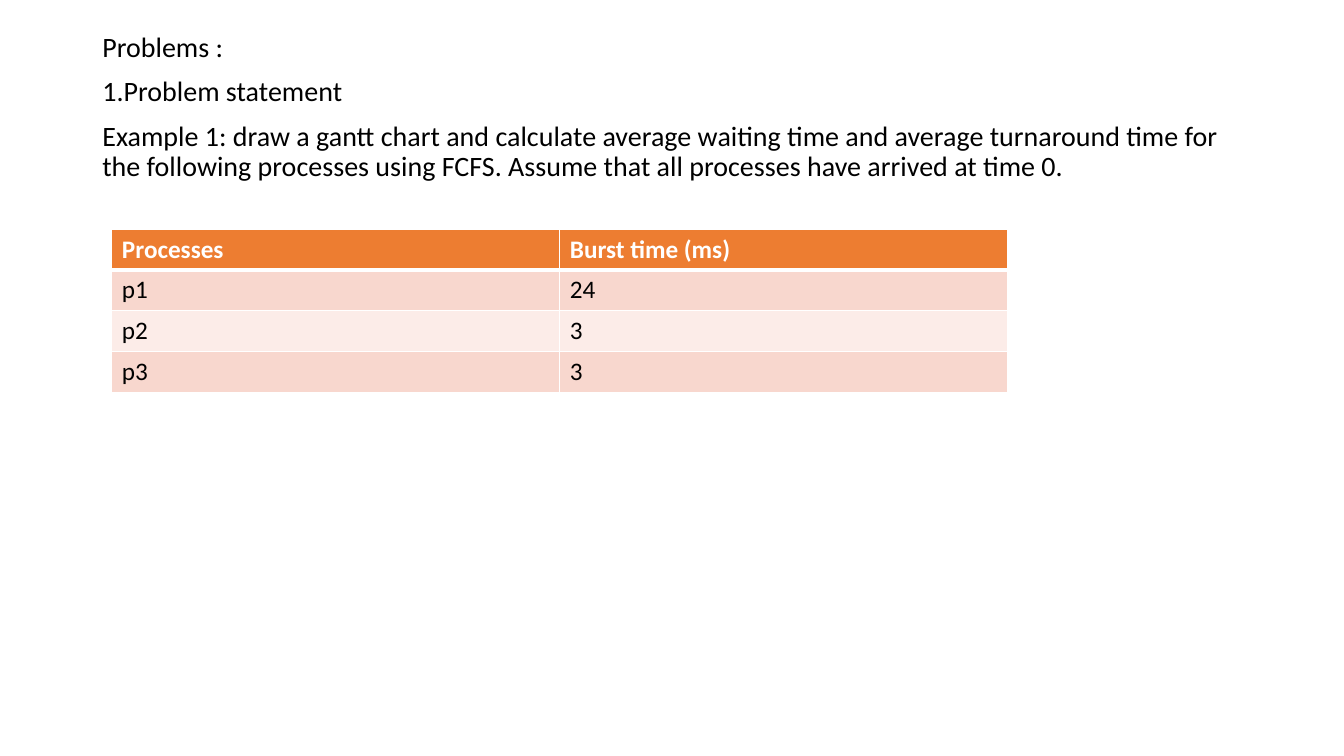
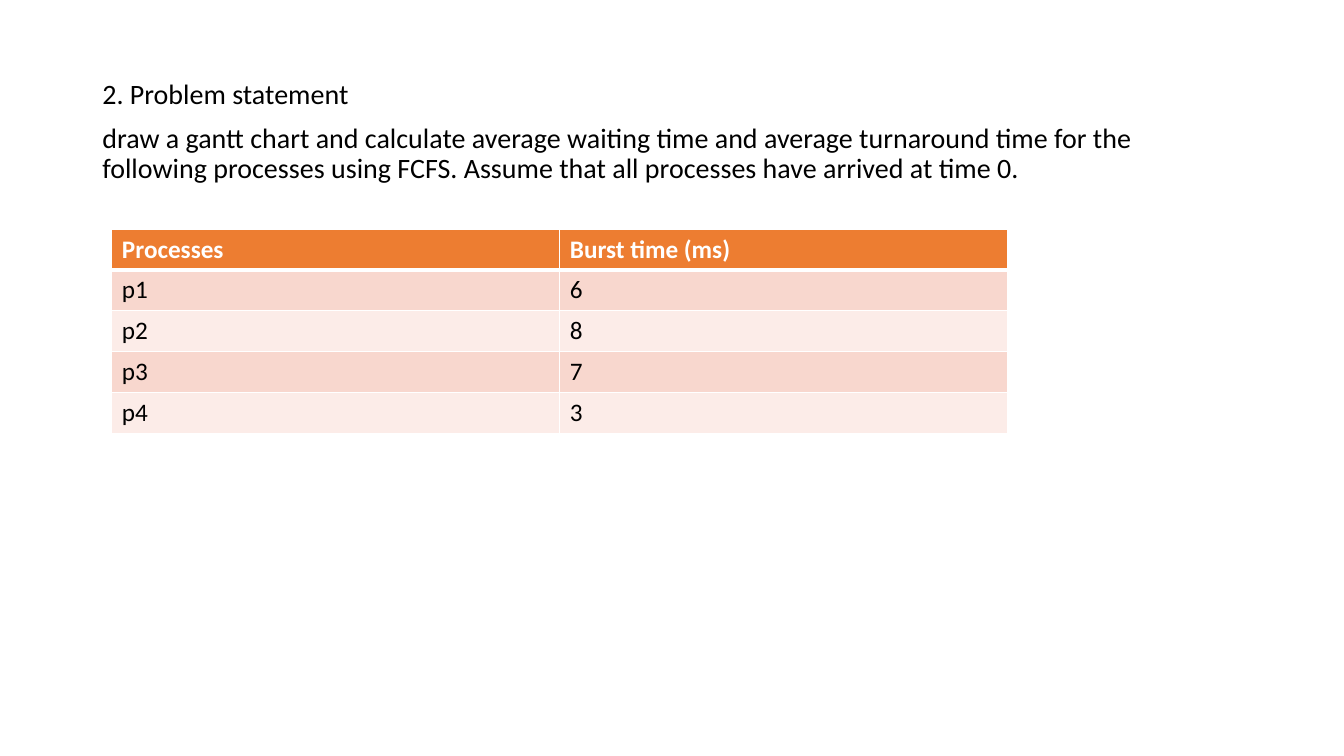
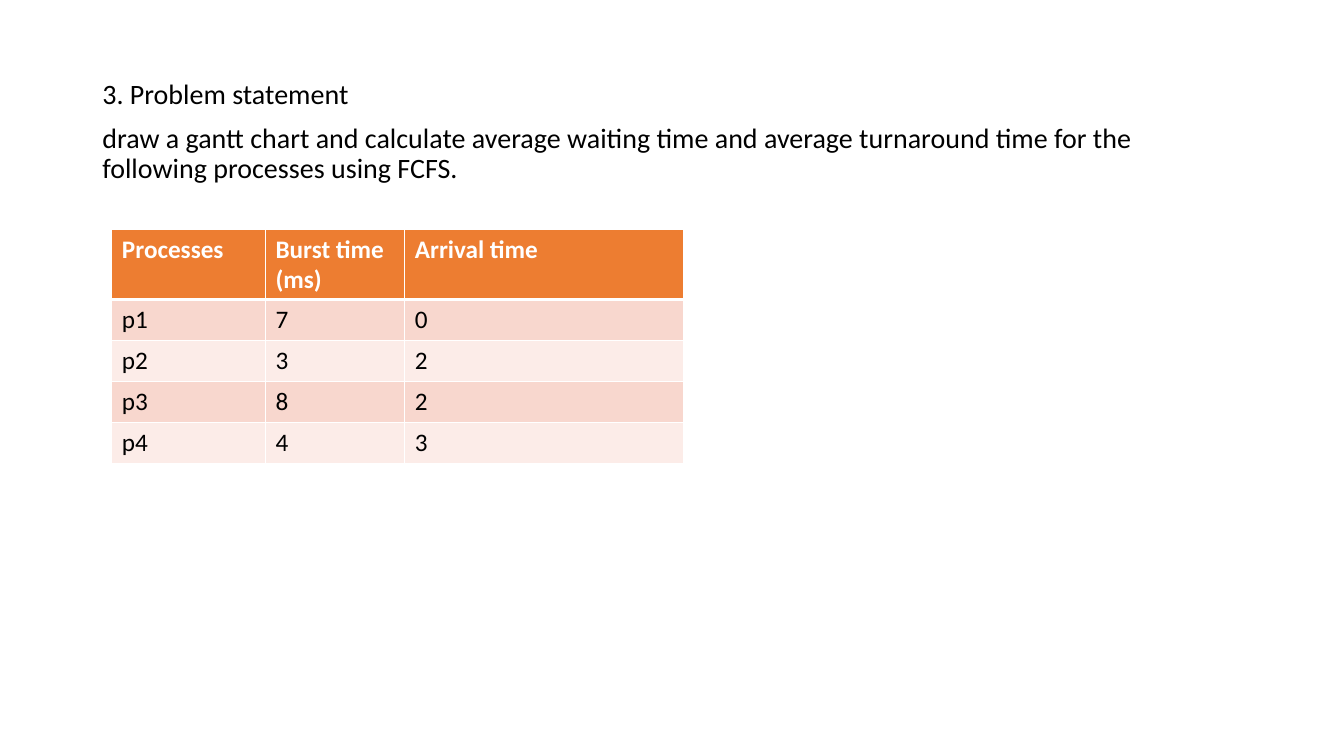
from lxml import etree
from pptx import Presentation
from pptx.dml.color import RGBColor
from pptx.oxml.ns import qn
from pptx.util import Cm, Pt

COLORS = {
    "text": "000000",
    "header_text": "FFFFFF",
    "header": "ED7D31",
    "odd_row": "F8D7CE",
    "even_row": "FCECE8",
    "border": "FFFFFF",
}
FONT = "Calibri"
ROW_HEIGHT = 1.03
TASK = ("draw a gantt chart and calculate average waiting time and average "
        "turnaround time for the following processes using FCFS.")
ALL_AT_ZERO = " Assume that all processes have arrived at time 0."

# Content of each slide, lengths in centimetres
PROBLEMS = [
    {
        "statement": ["Problems :", "1.Problem statement",
                      "Example 1: " + TASK + ALL_AT_ZERO],
        "text_inset": 0.13,
        "text_height": 18.34,
        "columns": [11.29, 11.29],
        "header_height": ROW_HEIGHT,
        "rows": [("Processes", "Burst time (ms)"),
                 ("p1", "24"), ("p2", "3"), ("p3", "3")],
    },
    {
        "statement": ["2. Problem statement", TASK + ALL_AT_ZERO],
        "text_inset": 1.31,
        "text_height": 18.34,
        "columns": [11.29, 11.29],
        "header_height": ROW_HEIGHT,
        "rows": [("Processes", "Burst time (ms)"),
                 ("p1", "6"), ("p2", "8"), ("p3", "7"), ("p4", "3")],
    },
    {
        "statement": ["3. Problem statement", TASK],
        "text_inset": 1.31,
        "text_height": 17.04,
        "columns": [3.87, 3.51, 7.02],
        "header_height": 1.78,
        "rows": [("Processes", "Burst time (ms)", "Arrival time"),
                 ("p1", "7", "0"), ("p2", "3", "2"),
                 ("p3", "8", "2"), ("p4", "4", "3")],
    },
]


def add_run(paragraph, text, size, color, bold=False):
    run = paragraph.add_run()
    run.text = text
    run.font.name = FONT
    run.font.size = Pt(size)
    run.font.bold = bold
    run.font.color.rgb = RGBColor.from_string(COLORS[color])


def set_borders(cell, top, bottom):
    properties = cell._tc.get_or_add_tcPr()
    for side, width in (("L", 1), ("R", 1), ("T", top), ("B", bottom)):
        line = etree.SubElement(properties, qn(f"a:ln{side}"), w=str(Pt(width)))
        fill = etree.SubElement(line, qn("a:solidFill"))
        etree.SubElement(fill, qn("a:srgbClr"), val=COLORS["border"])


prs = Presentation()
prs.slide_width = Cm(33.87)
prs.slide_height = Cm(19.05)
blank_layout = prs.slide_layouts[6]

for problem in PROBLEMS:
    slide = prs.slides.add_slide(blank_layout)

    # Problem statement
    statement = slide.shapes.add_textbox(
        Cm(2.33), Cm(0.71), Cm(29.21), Cm(problem["text_height"])).text_frame
    statement.word_wrap = True
    statement.margin_top = Cm(problem["text_inset"])
    for index, text in enumerate(problem["statement"]):
        paragraph = statement.add_paragraph() if index else statement.paragraphs[0]
        paragraph.line_spacing = 0.9
        paragraph.space_before = Pt(10)
        add_run(paragraph, text, 20, "text")

    # Process table
    rows, columns = problem["rows"], problem["columns"]
    heights = [problem["header_height"]] + [ROW_HEIGHT] * (len(rows) - 1)
    processes = slide.shapes.add_table(
        len(rows), len(columns), Cm(2.82), Cm(5.77),
        Cm(sum(columns)), Cm(sum(heights))).table
    for column, width in zip(processes.columns, columns):
        column.width = Cm(width)
    for r, values in enumerate(rows):
        processes.rows[r].height = Cm(heights[r])
        is_header = r == 0
        band = "header" if is_header else "odd_row" if r % 2 else "even_row"
        for c, value in enumerate(values):
            cell = processes.cell(r, c)
            set_borders(cell, top=3 if r == 1 else 1, bottom=3 if is_header else 1)
            cell.fill.solid()
            cell.fill.fore_color.rgb = RGBColor.from_string(COLORS[band])
            add_run(cell.text_frame.paragraphs[0], value, 18,
                    "header_text" if is_header else "text", bold=is_header)

prs.save("out.pptx")
